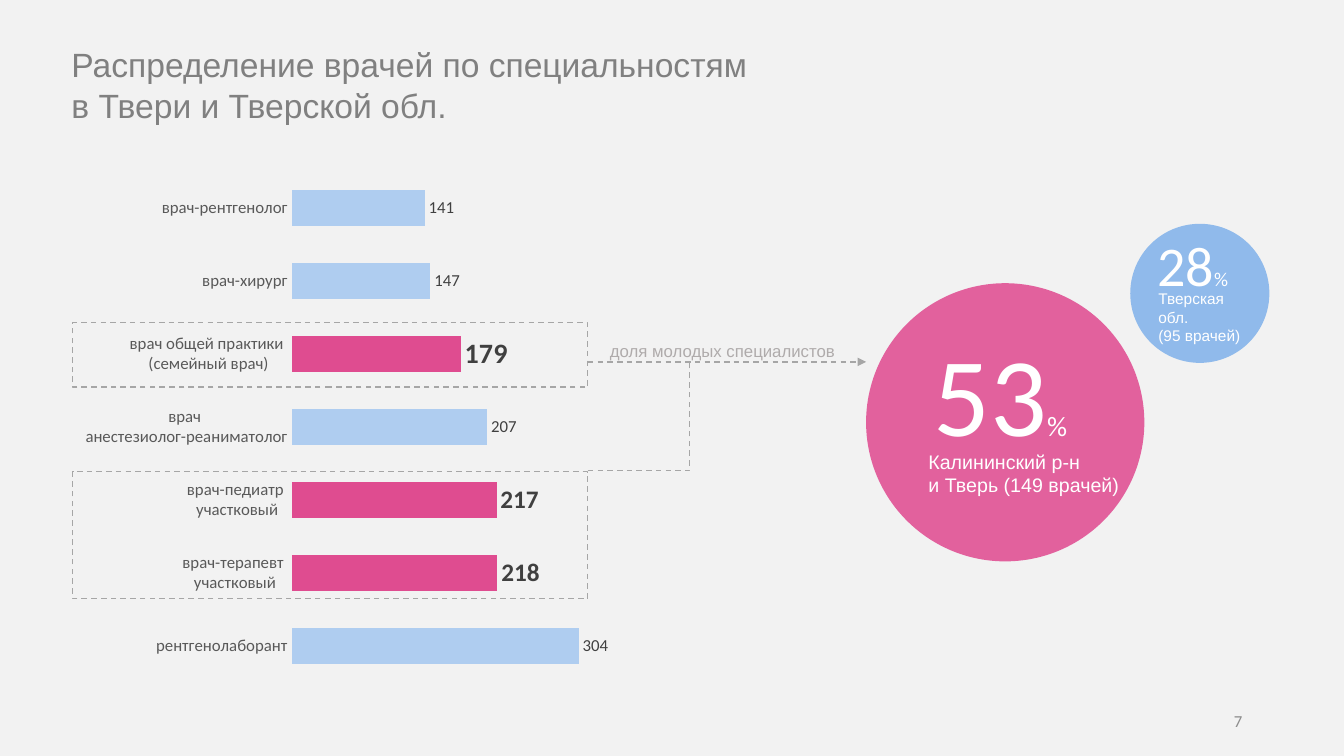
from lxml import etree
from pptx import Presentation
from pptx.chart.data import CategoryChartData
from pptx.dml.color import RGBColor
from pptx.enum.chart import XL_CHART_TYPE, XL_LABEL_POSITION, XL_TICK_MARK
from pptx.enum.dml import MSO_LINE
from pptx.enum.shapes import MSO_CONNECTOR, MSO_SHAPE
from pptx.enum.text import MSO_ANCHOR, PP_ALIGN
from pptx.oxml import parse_xml
from pptx.oxml.ns import nsdecls, qn
from pptx.util import Emu, Pt

PX = 9144  # 100 px to the inch
BAR = XL_CHART_TYPE.BAR_CLUSTERED
OUTSIDE = XL_LABEL_POSITION.OUTSIDE_END
NO_TICK = XL_TICK_MARK.NONE
DASH = MSO_LINE.DASH
STRAIGHT, ELBOW = MSO_CONNECTOR.STRAIGHT, MSO_CONNECTOR.ELBOW
RECT, OVAL = MSO_SHAPE.RECTANGLE, MSO_SHAPE.OVAL
LEFT, RIGHT = PP_ALIGN.LEFT, PP_ALIGN.RIGHT
TOP, MIDDLE = MSO_ANCHOR.TOP, MSO_ANCHOR.MIDDLE

BACKGROUND, GRAY, WHITE = "F2F2F2", "A6A6A6", "FFFFFF"
BLUE, PALE_BLUE, PINK, PALE_PINK = "90BAEB", "AFCDF0", "DF4C90", "E2619D"

# specialty, doctors, size of the bold label on a highlighted bar
DOCTORS = [
    ("рентгенолаборант", 304, None),
    ("врач-терапевт \nучастковый", 218, 18),
    ("врач-педиатр \nучастковый", 217, 18),
    ("врач \nанестезиолог-реаниматолог", 207, None),
    ("врач общей практики \n(семейный врач)", 179, 20),
    ("врач-хирург", 147, None),
    ("врач-рентгенолог", 141, None),
]


def px(*lengths):
    return [Emu(n * PX) for n in lengths]


def rgb(color):
    return RGBColor.from_string(color)


def set_fill(obj, color):
    obj.fill.solid()
    obj.fill.fore_color.rgb = rgb(color)


def set_font(font, size, color, name, bold=False):
    font.size, font.name, font.bold = Pt(size), name, bold
    font.color.rgb = rgb(color)


def set_dash(line):
    line.color.rgb = rgb(GRAY)
    line.width = Pt(1)
    line.dash_style = DASH


def add_text(shapes, box, lines, color, name, align=LEFT, anchor=TOP, wrap=True):
    """Add a text box; each line is a list of (text, size) runs."""
    tf = shapes.add_textbox(*px(*box)).text_frame
    tf.word_wrap = wrap
    tf.vertical_anchor = anchor
    for i, runs in enumerate(lines):
        p = tf.paragraphs[0] if i == 0 else tf.add_paragraph()
        p.alignment = align
        for text, size in runs:
            r = p.add_run()
            r.text = text
            set_font(r.font, size, color, name)


def add_frame(shapes, *box):
    sp = shapes.add_shape(RECT, *px(*box))
    sp.shadow.inherit = False
    sp.fill.background()
    set_dash(sp.line)


def add_dashed_connector(shapes, kind, *ends):
    cxn = shapes.add_connector(kind, *px(*ends))
    set_dash(cxn.line)
    etree.SubElement(cxn._element.spPr, qn("a:effectLst"))
    return cxn


def add_share(shapes, circle, color, number, number_box, caption, caption_box):
    """Group a circle with its percentage and caption; each text comes with its sizes."""
    group = shapes.add_group_shape().shapes
    sp = group.add_shape(OVAL, *px(*circle))
    sp.shadow.inherit = False
    set_fill(sp, color)
    sp.line.fill.background()
    value, value_size, sign_size = number
    add_text(group, number_box, [[(value, value_size), ("%", sign_size)]], WHITE, "Calibri")
    lines, size = caption
    add_text(group, caption_box, [[(line, size)] for line in lines], WHITE, "Arial")


def set_plot_area(chart, x, y, w, h):
    """Fix the inner plot area as fractions of the chart."""
    plot_area = chart._chartSpace.chart.plotArea
    for old in plot_area.findall(qn("c:layout")):
        plot_area.remove(old)
    sizes = "".join(f'<c:{k} val="{v}"/>' for k, v in zip("xywh", (x, y, w, h)))
    plot_area.insert(0, parse_xml(
        f'<c:layout {nsdecls("c")}><c:manualLayout><c:layoutTarget val="inner"/>'
        f'<c:xMode val="edge"/><c:yMode val="edge"/>{sizes}</c:manualLayout></c:layout>'))


def add_doctors_chart(shapes):
    data = CategoryChartData()
    data.categories = [name for name, _, _ in DOCTORS]
    data.add_series("Series 1", [count for _, count, _ in DOCTORS])
    chart = shapes.add_chart(BAR, *px(-13, 165, 643, 512), data).chart
    chart.has_legend = chart.has_title = False
    set_font(chart.font, 10, "000000", "Calibri")
    set_plot_area(chart, 0.47, 0.01, 0.51, 0.99)

    axis = chart.category_axis
    axis.major_tick_mark = axis.minor_tick_mark = NO_TICK
    axis.format.line.fill.background()
    set_font(axis.tick_labels.font, 12, "595959", "Calibri")
    values = chart.value_axis
    values.minimum_scale, values.maximum_scale = 0, 350
    values.has_major_gridlines = values.visible = False

    plot = chart.plots[0]
    plot.gap_width = 104
    plot.vary_by_categories = False
    series = plot.series[0]
    set_fill(series.format, BLUE)
    labels = series.data_labels
    labels.show_value, labels.position = True, OUTSIDE
    set_font(labels.font, 12, "404040", "Calibri")
    for i, (_, _, label_size) in enumerate(DOCTORS):
        point = series.points[i]
        set_fill(point.format, PINK if label_size else PALE_BLUE)
        if label_size:
            set_font(point.data_label.font, label_size, "404040", "Calibri", bold=True)
            point.data_label.position = OUTSIDE


def main():
    prs = Presentation()
    prs.slide_width, prs.slide_height = px(1333, 750)
    slide = prs.slides.add_slide(prs.slide_layouts[6])
    set_fill(slide.background, BACKGROUND)
    shapes = slide.shapes

    add_text(shapes, (942, 695, 300, 40), [[("7", 12)]], "8C8C8C", "Calibri", RIGHT, MIDDLE)
    add_doctors_chart(shapes)
    add_frame(shapes, 72, 320, 511, 64)
    add_frame(shapes, 72, 468, 511, 126)
    add_text(shapes, (61, 39, 892, 91),
             [[("Распределение врачей по специальностям", 24)], [("в Твери и Тверской обл.", 24)]],
             "808080", "Arial")

    elbow = add_dashed_connector(shapes, ELBOW, 583, 467, 684, 359)
    elbow._element.spPr.find(qn("a:prstGeom")).set("prst", "bentConnector2")
    add_text(shapes, (595, 333, 248, 30), [[("доля молодых специалистов", 12)]],
             "AFABAB", "Arial", wrap=False)
    add_share(shapes, (859, 281, 276, 276), PALE_PINK,
              ("53", 80, 20), (916, 317, 178, 145),
              (["Калининский р-н", "и Тверь (149 врачей)"], 14), (911, 441, 215, 57))
    add_share(shapes, (1121, 222, 138, 138), BLUE,
              ("28", 40, 14), (1138, 224, 105, 77),
              (["Тверская обл.", "(95 врачей)"], 11), (1139, 282, 105, 66))
    arrow = add_dashed_connector(shapes, STRAIGHT, 583, 359, 859, 359)
    etree.SubElement(arrow.line._get_or_add_ln(), qn("a:tailEnd"), type="triangle")

    prs.save("out.pptx")


if __name__ == "__main__":
    main()
